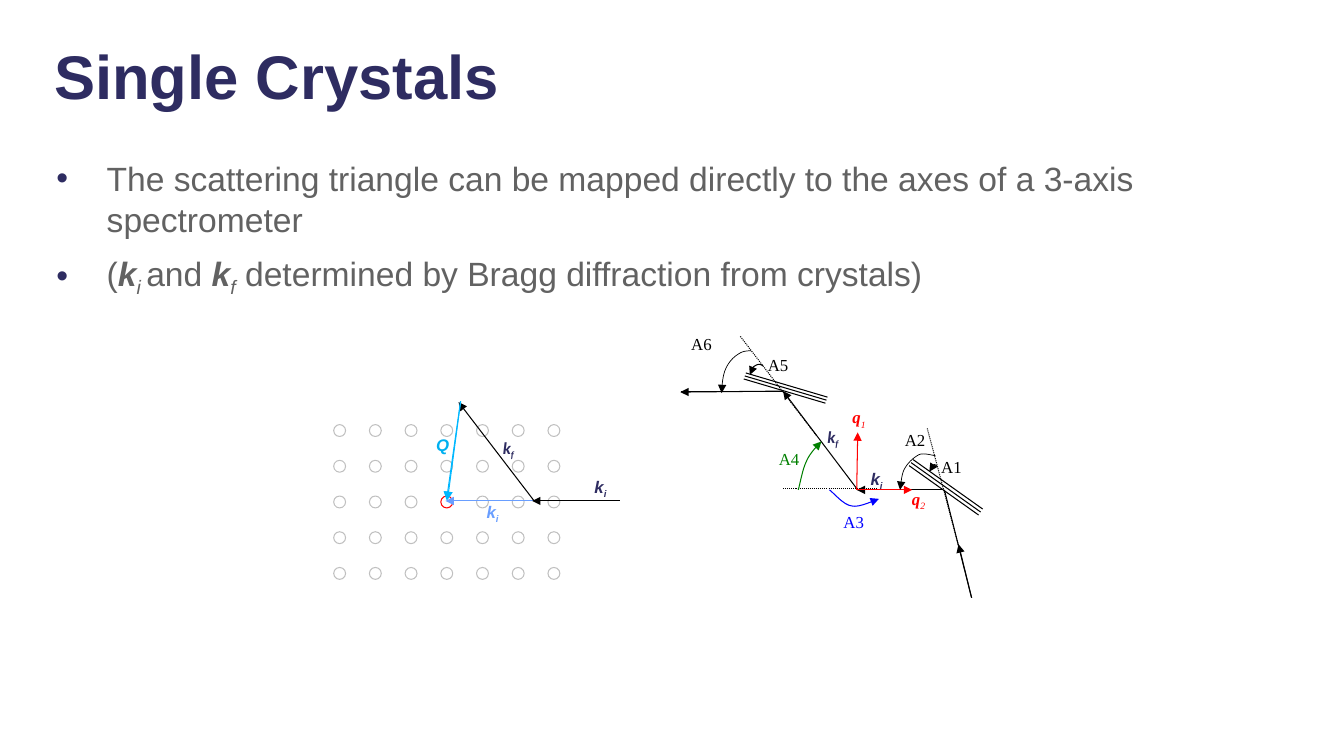
from lxml import etree
from pptx import Presentation
from pptx.dml.color import RGBColor
from pptx.enum.dml import MSO_LINE
from pptx.enum.shapes import MSO_CONNECTOR, MSO_SHAPE
from pptx.enum.text import MSO_ANCHOR
from pptx.oxml.ns import qn
from pptx.util import Cm, Pt

COLOURS = {
    "navy": "2E2C61", "text": "626262", "black": "000000", "lattice": "C0C0C0",
    "red": "FF0000", "green": "008000", "blue": "0000FF",
    "incoming": "699EFF", "transfer": "00B8FF", "transfer label": "00B0F0",
}
INCH = 2.54  # coordinates below are in inches
VECTOR = {"bold": True, "italic": True}
INDEX = {"italic": True, "subscript": True}
VECTOR_INDEX = {**VECTOR, "subscript": True}

deck = Presentation()
deck.slide_width, deck.slide_height = Cm(33.87), Cm(19.05)
slide = deck.slides.add_slide(deck.slide_layouts[6])
shapes = slide.shapes


def stroke(outline, colour, width=0.75, dotted=False, arrow=False):
    """Style an outline, remove its shadow and put any arrowhead at its end."""
    line = outline.line
    line.color.rgb = RGBColor.from_string(COLOURS[colour])
    line.width = Pt(width)
    if dotted:
        line.dash_style = MSO_LINE.ROUND_DOT
    properties = outline._element.spPr
    if arrow:
        etree.SubElement(properties.find(qn("a:ln")), qn("a:tailEnd"), type="triangle")
    etree.SubElement(properties, qn("a:effectLst"))


def write(paragraph, runs, size, font, colour):
    """Add (text, format) runs that share a size, font and colour."""
    for text, extra in runs:
        run = paragraph.add_run()
        run.text = text
        run.font.color.rgb = RGBColor.from_string(COLOURS[colour])
        style = {"size": Pt(size), "name": font, "bold": False, "italic": False, **extra}
        if style.pop("subscript", False):
            run._r.get_or_add_rPr().set("baseline", "-25000")
        for name, value in style.items():
            setattr(run.font, name, value)


# Title and bullets
title = shapes.add_textbox(Cm(1.12), Cm(0.97), Cm(29.82), Cm(2.08)).text_frame
title.word_wrap = True
title.vertical_anchor = MSO_ANCHOR.MIDDLE
title.paragraphs[0].line_spacing = 0.9
write(title.paragraphs[0], [("Single Crystals", {"bold": True})], 44, "Arial", "navy")

body = shapes.add_textbox(Cm(1.17), Cm(3.86), Cm(29.77), Cm(11.15)).text_frame
body.word_wrap = True
points = [
    [("The scattering triangle can be mapped directly to the axes of a 3-axis spectrometer", {})],
    [("(", {}), ("k", VECTOR), ("i ", INDEX), ("and ", {}), ("k", VECTOR), ("f", INDEX),
     (" determined by Bragg diffraction from crystals)", {})],
]
for number, runs in enumerate(points):
    point = body.add_paragraph() if number else body.paragraphs[0]
    point.space_after = Pt(10)
    layout = point._p.get_or_add_pPr()
    layout.set("marL", str(Cm(1.27)))
    layout.set("indent", str(Cm(-1.27)))
    bullet_colour = etree.SubElement(layout, qn("a:buClr"))
    etree.SubElement(bullet_colour, qn("a:srgbClr"), val=COLOURS["navy"])
    etree.SubElement(layout, qn("a:buFont"), typeface="Arial")
    etree.SubElement(layout, qn("a:buChar"), char="•")
    write(point, runs, 24, "Arial", "text")

# Reciprocal lattice, with the origin in red
for row in range(5):
    for column in range(7):
        site = shapes.add_shape(MSO_SHAPE.OVAL, Cm(8.41 + 0.9 * column),
                                Cm(10.7 + 0.9 * row), Cm(0.3), Cm(0.3))
        site.fill.background()
        stroke(site, "red" if (row, column) == (2, 3) else "lattice")

# Straight lines: x1, y1, x2, y2, colour, format
ARROW, DOTTED = {"arrow": True}, {"dotted": True}
rays = [
    # Scattering triangle
    (5.29, 4.97, 4.42, 4.97, "incoming", ARROW),
    (5.3, 4.97, 4.55, 3.99, "black", ARROW),
    (6.15, 4.97, 5.28, 4.97, "black", ARROW),
    (4.57, 3.99, 4.44, 4.96, "transfer", ARROW),
    (4.57, 3.98, 4.43, 4.96, "transfer", ARROW),
    # Sample
    (8.51, 4.86, 7.77, 3.88, "black", ARROW),
    (9.36, 4.86, 8.5, 4.86, "black", ARROW),
    (7.77, 4.85, 8.7, 4.85, "black", DOTTED),
    (8.5, 4.86, 8.51, 4.29, "red", ARROW),
    (8.5, 4.86, 9.05, 4.86, "red", ARROW),
    # Monochromator
    (9.64, 5.93, 9.37, 4.86, "black", {}),
    (9.64, 5.93, 9.51, 5.4, "black", ARROW),
    (9.2, 4.25, 9.52, 5.45, "black", DOTTED),
    # Analyser
    (8.1, 4.32, 7.34, 3.33, "black", DOTTED),
    (7.77, 3.88, 6.76, 3.88, "black", {}),
    (7.77, 3.88, 6.75, 3.89, "black", ARROW),
]
for plane in range(3):
    shift = 0.03 * plane
    rays.append((9.75 - 0.02 * plane, 5.05 + shift, 9.06 - 0.02 * plane, 4.56 + shift, "black", {}))
    rays.append((8.21 - 0.01 * plane, 3.94 + shift, 7.4 - 0.01 * plane, 3.7 + shift, "black", {}))
for *ends, colour, style in rays:
    ray = shapes.add_connector(MSO_CONNECTOR.STRAIGHT, *(Cm(end * INCH) for end in ends))
    stroke(ray, colour, **style)

# Angle arcs: colour, line width, start point and Bezier control points up to the tip
arcs = [
    ("green", 0.75, [(7.92, 4.86), (7.94, 4.8), (7.96, 4.66), (8, 4.58),
                     (8.03, 4.5), (8.12, 4.41), (8.15, 4.38)]),
    ("blue", 0.75, [(8.23, 4.86), (8.28, 4.9), (8.37, 5.01), (8.45, 5.02),
                    (8.53, 5.04), (8.68, 4.96), (8.72, 4.95)]),
    ("black", 0.5, [(9.28, 4.52), (9.25, 4.52), (9.17, 4.49), (9.12, 4.51), (9.06, 4.54),
                    (9, 4.6), (8.97, 4.66), (8.94, 4.72), (8.94, 4.82), (8.93, 4.86)]),
    ("black", 0.75, [(9.3, 4.63), (9.3, 4.63), (9.28, 4.61), (9.27, 4.61), (9.25, 4.62),
                     (9.24, 4.63), (9.23, 4.65), (9.22, 4.66), (9.22, 4.68), (9.22, 4.68)]),
    ("black", 0.5, [(7.45, 3.48), (7.43, 3.48), (7.37, 3.48), (7.33, 3.51), (7.28, 3.54),
                    (7.23, 3.59), (7.2, 3.66), (7.17, 3.72), (7.16, 3.85), (7.16, 3.9)]),
    ("black", 0.75, [(7.57, 3.63), (7.56, 3.62), (7.53, 3.61), (7.51, 3.62), (7.49, 3.63),
                     (7.47, 3.64), (7.46, 3.66), (7.45, 3.67), (7.45, 3.71), (7.44, 3.72)]),
]
STEPS = 8
for colour, width, controls in arcs:
    track = []
    for first in range(0, len(controls) - 1, 3):
        for step in range(1, STEPS + 1):
            t = step / STEPS
            weights = ((1 - t) ** 3, 3 * t * (1 - t) ** 2, 3 * t * t * (1 - t), t ** 3)
            track.append([
                Cm(INCH * sum(w * p[axis] for w, p in zip(weights, controls[first:first + 4])))
                for axis in (0, 1)
            ])
    outline = shapes.build_freeform(*(Cm(INCH * value) for value in controls[0]))
    outline.add_line_segments(track, close=False)
    arc = outline.convert_to_shape()
    arc.fill.background()
    stroke(arc, colour, width, arrow=True)

# Labels: left, top, width, height, symbol, index, index format, font, colour
SERIF = "Times New Roman"
labels = [
    (5.8, 4.68, 0.57, 0.57, "k", "i", VECTOR_INDEX, "Arial", "navy"),
    (4.89, 4.29, 0.57, 0.57, "k", "f", VECTOR_INDEX, "Calibri", "navy"),
    (4.73, 4.93, 0.57, 0.57, "k", "i", VECTOR_INDEX, "Arial", "incoming"),
    (4.23, 4.26, 0.57, 0.57, "Q", "", {}, "Arial", "transfer label"),
    (8.54, 4.6, 0.57, 0.38, "k", "i", VECTOR_INDEX, "Arial", "navy"),
    (8.11, 4.18, 0.57, 0.57, "k", "f", VECTOR_INDEX, "Calibri", "navy"),
    (8.36, 3.99, 0.76, 0.57, "q", "1", INDEX, SERIF, "red"),
    (8.95, 4.8, 0.76, 0.57, "q", "2", INDEX, SERIF, "red"),
    (9.24, 4.48, 0.76, 0.46, "A1", "", {}, SERIF, "black"),
    (8.88, 4.21, 0.76, 0.57, "A2", "", {}, SERIF, "black"),
    (8.27, 5.03, 0.47, 0.49, "A3", "", {}, SERIF, "blue"),
    (7.63, 4.4, 0.76, 0.57, "A4", "", {}, SERIF, "green"),
    (7.52, 3.47, 0.76, 0.57, "A5", "", {}, SERIF, "black"),
    (6.76, 3.26, 0.76, 0.57, "A6", "", {}, SERIF, "black"),
]
for *place, symbol, index, index_style, font, colour in labels:
    label = shapes.add_textbox(*(Cm(INCH * value) for value in place)).text_frame
    label.word_wrap = True
    runs = [(symbol, {} if symbol.startswith("A") else VECTOR)]
    if index:
        runs.append((index, index_style))
    write(label.paragraphs[0], runs, 12, font, colour)

deck.save("out.pptx")
